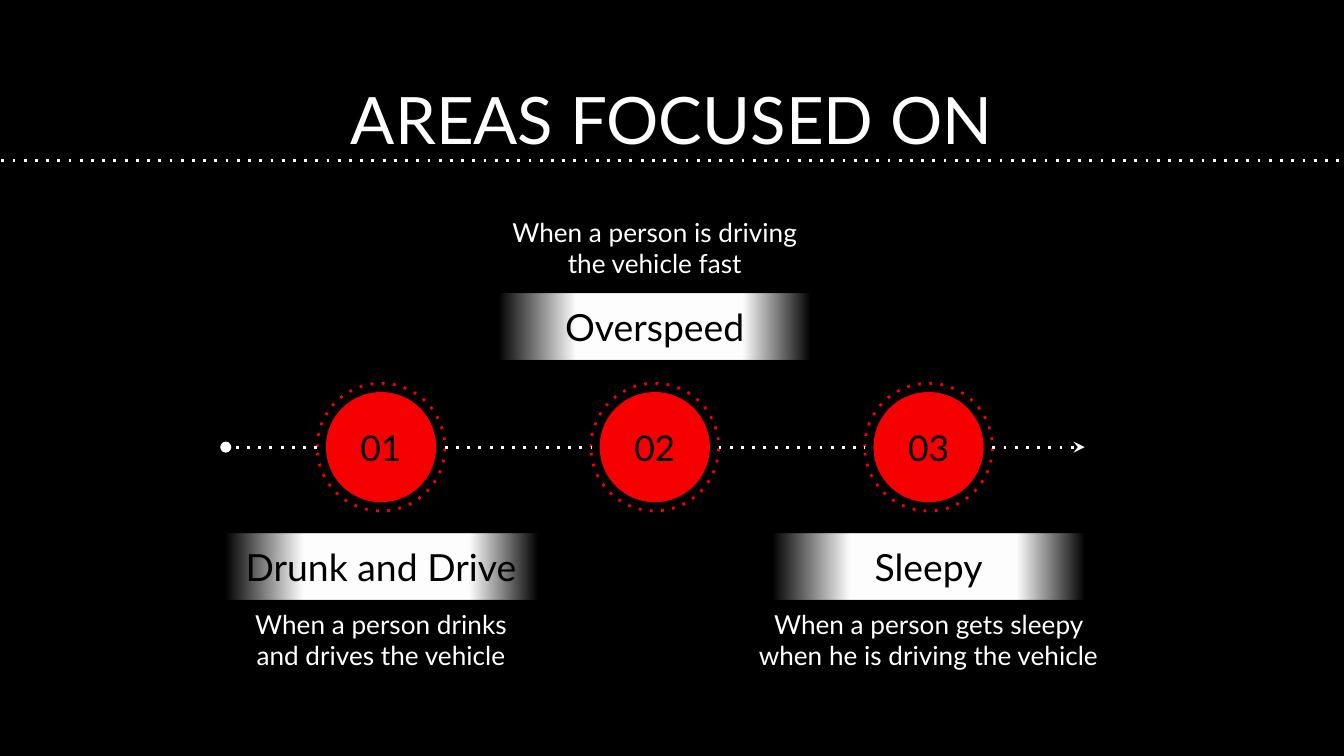
import dataclasses

import lxml.etree
import pptx
import pptx.dml.color
import pptx.enum.shapes
import pptx.enum.text
import pptx.oxml.ns
import pptx.util

# All lengths are shares of the slide's width, in percent
WIDE = pptx.util.Inches(10)
HIGH = WIDE * 9 // 16
FIRST, STEP = 28.35, 20.37  # column centres
AXIS = 33.27
DISC, RING = 8.2, 9.5
BAND, BAR, NOTE = 23.2, 4.9, 5.9
START, END = 16.8, 80.7

WHITE, BLACK, RED = "FFFFFF", "000000", "F60001"
FONT = "Lato"
FADE = [(0, 0), (25, 100), (50, 100), (78, 100), (100, 0)]  # place, opacity

KIND = pptx.enum.shapes.MSO_SHAPE
MID = pptx.enum.text.MSO_ANCHOR.MIDDLE
TOP = pptx.enum.text.MSO_ANCHOR.TOP


@dataclasses.dataclass
class Area:
    num: str
    name: str
    note: str
    bar_top: float
    note_top: float
    note_wide: float = BAND


AREAS = [
    Area("01", "Drunk and Drive", "When a person drinks and drives the vehicle", 39.7, 44.65),
    Area("02", "Overspeed", "When a person is driving the vehicle fast", 21.85, 15.45),
    Area("03", "Sleepy", "When a person gets sleepy when he is driving the vehicle", 39.7, 44.65, 29),
]


def span(share: float) -> int:
    return round(WIDE * share / 100)


def tint(code: str) -> pptx.dml.color.RGBColor:
    return pptx.dml.color.RGBColor.from_string(code)


def node(host, tag: str, **vals):
    item = lxml.etree.SubElement(host, pptx.oxml.ns.qn(tag))
    for key, val in vals.items():
        item.set(key, str(val))
    return item


def dot(line, code: str) -> None:
    line.color.rgb = tint(code)
    line.width = pptx.util.Pt(1.5)
    node(line._get_or_add_ln(), "a:prstDash", val="dot")


def write(shape, text: str, size: float, code: str, anchor=MID) -> None:
    frame = shape.text_frame
    frame.word_wrap = True
    frame.auto_size = pptx.enum.text.MSO_AUTO_SIZE.NONE
    frame.vertical_anchor = anchor
    frame.margin_left = frame.margin_right = span(1)
    frame.margin_top = frame.margin_bottom = span(1)
    para = frame.paragraphs[0]
    para.alignment = pptx.enum.text.PP_ALIGN.CENTER
    run = para.add_run()
    run.text = text
    run.font.name = FONT
    run.font.size = pptx.util.Pt(size)
    run.font.color.rgb = tint(code)


def label(slide, mid: float, top: float, wide: float, high: float,
          text: str, size: float, code: str, anchor=MID) -> None:
    box = slide.shapes.add_textbox(span(mid - wide / 2), span(top), span(wide), span(high))
    write(box, text, size, code, anchor)


def form(host, kind, mid: float, top: float, wide: float, high: float):
    shape = host.shapes.add_shape(kind, span(mid - wide / 2), span(top), span(wide), span(high))
    shape.shadow.inherit = False
    return shape


def link(slide, left: float, right: float, level: float, tip: str = "") -> None:
    line = slide.shapes.add_connector(pptx.enum.shapes.MSO_CONNECTOR.STRAIGHT,
                                      span(left), span(level), span(right), span(level))
    dot(line.line, WHITE)
    if tip:
        node(line.line._get_or_add_ln(), "a:tailEnd", type=tip)
    node(line._element.spPr, "a:effectLst")


def band(slide, mid: float, area: Area) -> None:
    bar = form(slide, KIND.RECTANGLE, mid, area.bar_top, BAND, BAR)
    bar.line.fill.background()
    bar.fill.gradient()
    bar.fill.gradient_angle = 0
    stops = bar._element.spPr.find(".//" + pptx.oxml.ns.qn("a:gsLst"))
    for old in list(stops):
        stops.remove(old)
    for place, alpha in FADE:
        stop = node(stops, "a:gs", pos=place * 1000)
        node(node(stop, "a:srgbClr", val=WHITE), "a:alpha", val=alpha * 1000)
    write(bar, area.name, 20, BLACK)


def badge(slide, mid: float) -> None:
    group = slide.shapes.add_group_shape()
    disc = form(group, KIND.OVAL, mid, AXIS - DISC / 2, DISC, DISC)
    disc.fill.solid()
    disc.fill.fore_color.rgb = tint(RED)
    disc.line.fill.background()
    ring = form(group, KIND.OVAL, mid, AXIS - RING / 2, RING, RING)
    ring.fill.background()
    dot(ring.line, RED)


def main() -> None:
    deck = pptx.Presentation()
    deck.slide_width, deck.slide_height = WIDE, HIGH
    slide = deck.slides.add_slide(deck.slide_layouts[6])
    slide.background.fill.solid()
    slide.background.fill.fore_color.rgb = tint(BLACK)

    # Title and its rule
    label(slide, 50, 4.9, 84.3, 6.3, "AREAS FOCUSED ON", 35, WHITE, TOP)
    link(slide, 0.1, 99.9, 11.93)

    # One column for each area
    mids = [FIRST + STEP * col for col in range(len(AREAS))]
    for mid, area in zip(mids, AREAS):
        band(slide, mid, area)
        label(slide, mid, area.note_top, area.note_wide, NOTE, area.note, 14, WHITE)
        badge(slide, mid)
        label(slide, mid, AXIS - BAR / 2, 7.5, BAR, area.num, 19, BLACK)

    # Time line between the rings and out to both ends
    for here, after in zip(mids, mids[1:]):
        link(slide, here + RING / 2, after - RING / 2, AXIS)
    link(slide, mids[-1] + RING / 2, END, AXIS, "stealth")
    link(slide, mids[0] - RING / 2, START, AXIS, "oval")

    deck.save("out.pptx")


if __name__ == "__main__":
    main()
